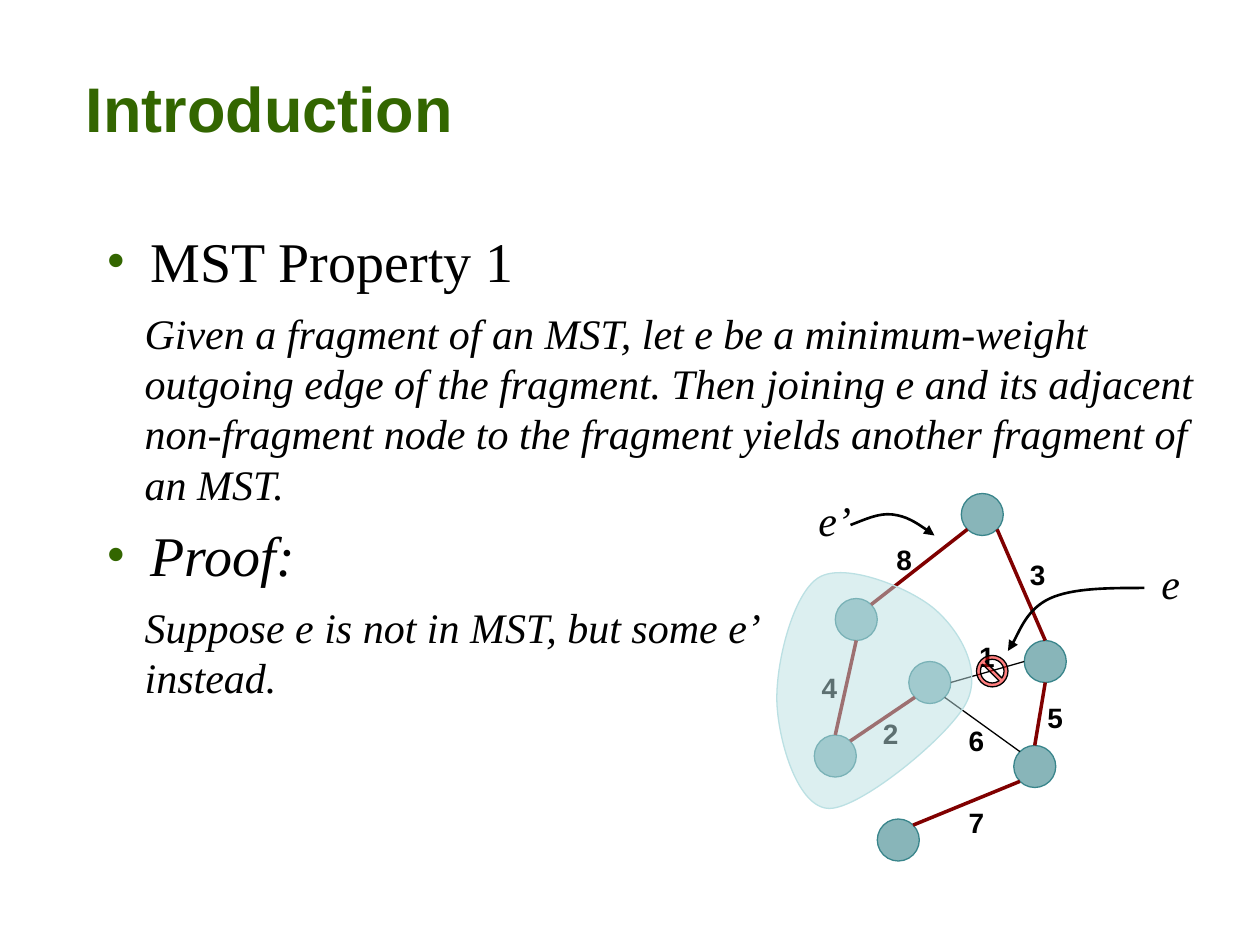
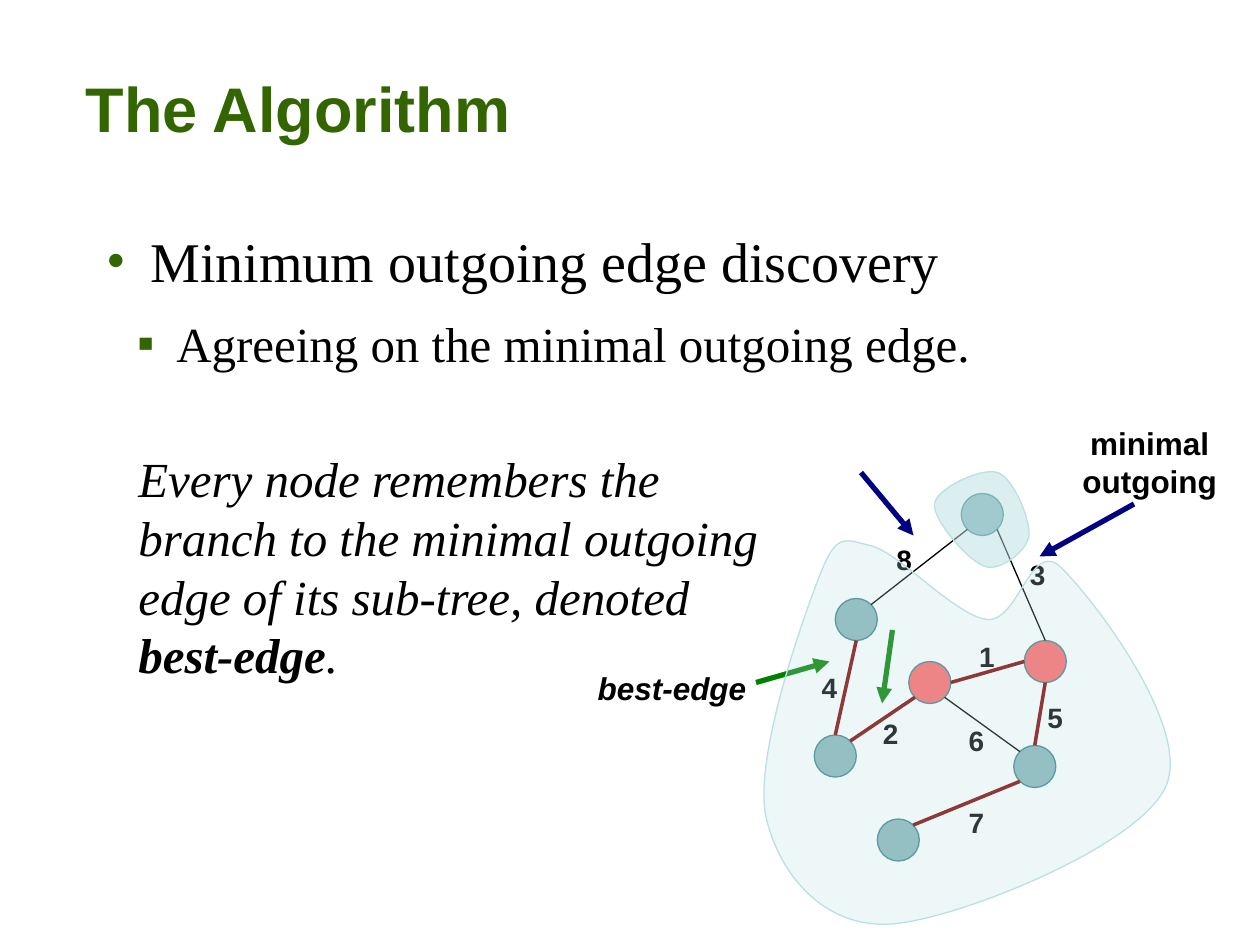
from dataclasses import dataclass
from math import cos, pi, sin

from lxml.etree import SubElement as Sub
from pptx import Presentation
from pptx.dml.color import RGBColor as Rgb
from pptx.enum.shapes import MSO_CONNECTOR as Conn, MSO_SHAPE as Kind
from pptx.enum.text import MSO_ANCHOR as Anchor, PP_ALIGN as Align
from pptx.oxml.ns import qn
from pptx.util import Pt


@dataclass(frozen=True)
class Theme:
    green: str = "336600"
    black: str = "000000"
    teal: str = "39858B"
    pale: str = "BBE0E3"
    red: str = "FF0000"
    maroon: str = "800000"
    navy: str = "000080"
    leaf: str = "008000"
    sans: str = "Arial"
    serif: str = "Times New Roman"
    title: int = 36
    head: int = 32
    point: int = 28
    body: int = 24
    note: int = 18
    weight: int = 16
    thin: float = 0.75
    curve: float = 1.5
    branch: float = 2
    arrow: float = 3


T = Theme()
GRAPH = (432, 252)
RADIUS = 12
NODES = {
    "mid": (99.3, 138), "top": (129.3, 42), "east": (159.3, 186),
    "right": (165.3, 126), "low": (81.3, 228), "left": (57.3, 102),
    "west": (45.3, 180),
}
SITES = {
    "N": -2, "NE": -1, "E": 0, "SE": 1, "S": 2, "SW": 3, "W": 4, "NW": 5,
}
EDGES = {
    8: ("left", "NE", "top", "SW", (84.6, 67.6)),
    6: ("mid", "SE", "east", "NW", (126, 171)),
    1: ("mid", "E", "right", "W", (132, 123)),
    3: ("right", "N", "top", "SE", (161, 76)),
    2: ("mid", "SW", "west", "NE", (77, 167)),
    5: ("east", "N", "right", "S", (171, 157.9)),
    7: ("east", "SW", "low", "NE", (126, 218)),
    4: ("west", "N", "left", "S", (42, 141)),
}
FRAGMENT = [
    (36, 78), (51, 69), (88, 84), (102, 96), (116, 108), (130, 131), (120, 150),
    (110, 169), (60, 210), (42, 210), (24, 210), (13, 172), (12, 150),
    (11, 128), (21, 87), (36, 78),
]
SINGLE = [
    (102, 36), (103, 27), (129, 15), (138, 18), (147, 21), (157, 45), (156, 54),
    (155, 63), (140, 74), (132, 72), (122, 70), (101, 45), (102, 36),
]
LARGE = [
    (36, 78), (46, 52), (50, 56), (66, 60), (82, 64), (114, 100), (132, 102),
    (150, 104), (157, 56), (174, 72), (191, 88), (250, 164), (234, 198),
    (218, 232), (116, 273), (78, 276), (40, 279), (14, 249), (6, 216),
    (-2, 183), (26, 104), (36, 78),
]
OLD_EDGE = [(54, 48), (62, 45), (70, 41), (78, 42), (86, 43), (94, 48), (102, 54)]
NEW_EDGE = [(222, 84), (202, 84), (181, 84), (168, 90), (155, 96), (148, 115), (144, 120)]


def shift(box, spot):
    return box[0] + spot[0], box[1] + spot[1]


def text(slide, box, words, font=T.serif, size=T.body, color=T.black, bold=False,
         slant=False, bullet=None, indent=0, label=False):
    frame = slide.shapes.add_textbox(*map(Pt, box)).text_frame
    frame.word_wrap = True
    frame.vertical_anchor = Anchor.MIDDLE if label else Anchor.TOP
    lines = words.split("\n") if isinstance(words, str) else [words]
    for n, line in enumerate(lines):
        para = frame.add_paragraph() if n else frame.paragraphs[0]
        para.alignment = Align.CENTER if label else Align.LEFT
        if bullet:
            mark(para, bullet, indent)
        for part, heavy in [(line, bold)] if isinstance(line, str) else line:
            run = para.add_run()
            run.text = part
            run.font.name, run.font.size = font, Pt(size)
            run.font.bold, run.font.italic = heavy, slant
            run.font.color.rgb = Rgb.from_string(color)


def mark(para, bullet, indent):
    props = para._p.get_or_add_pPr()
    props.set("marL", str(Pt(indent)))
    props.set("indent", str(-Pt(indent)))
    Sub(Sub(props, qn("a:buClr")), qn("a:srgbClr"), val=T.green)
    Sub(props, qn("a:buFont"), typeface=T.serif)
    Sub(props, qn("a:buChar"), char=bullet)


def label(slide, box, spot, words, wide=40, high=36, **style):
    x, y = shift(box, spot)
    text(slide, (x - wide / 2, y - high / 2, wide, high), words, label=True, **style)


def stroke(shape, color, width, arrow=False):
    shape.line.color.rgb = Rgb.from_string(color)
    shape.line.width = Pt(width)
    if arrow:
        Sub(shape._element.spPr.find(qn("a:ln")), qn("a:tailEnd"), type="triangle")


def tint(shape, color, alpha):
    shape.shadow.inherit = False
    shape.fill.solid()
    shape.fill.fore_color.rgb = Rgb.from_string(color)
    tone = shape._element.spPr.find(qn("a:solidFill"))[0]
    Sub(tone, qn("a:alpha"), val=str(alpha * 1000))


def line(slide, box, start, end, color, width, arrow=False):
    ends = shift(box, start) + shift(box, end)
    link = slide.shapes.add_connector(Conn.STRAIGHT, *map(Pt, ends))
    stroke(link, color, width, arrow)
    Sub(link._element.spPr, qn("a:effectLst"))


def curve(slide, box, points, closed=False):
    spots = [tuple(map(Pt, shift(box, p))) for p in points]
    pen = slide.shapes.build_freeform(*spots[0])
    pen.add_line_segments(spots[1:], close=closed)
    shape = pen.convert_to_shape()
    steps = list(shape._element.iter(qn("a:lnTo")))
    for n in range(0, len(spots) - 1, 3):
        first, *rest = steps[n:n + 3]
        first.tag = qn("a:cubicBezTo")
        for step in rest:
            first.append(step[0])
            step.getparent().remove(step)
    shape.shadow.inherit = False
    return shape


def blob(slide, box, points, alpha):
    shape = curve(slide, box, points, closed=True)
    tint(shape, T.pale, alpha)
    stroke(shape, T.pale, T.thin)


def pointer(slide, box, points, spot, name):
    label(slide, box, spot, name, slant=True)
    shape = curve(slide, box, points)
    shape.fill.background()
    stroke(shape, T.black, T.curve, arrow=True)


def disc(slide, box, spot, size, kind, color, alpha, edge):
    x, y = shift(box, spot)
    shape = slide.shapes.add_shape(kind, *map(Pt, (x - size / 2, y - size / 2, size, size)))
    tint(shape, color, alpha)
    stroke(shape, edge, T.thin)
    return shape


def rim(node, site):
    x, y = NODES[node]
    turn = SITES[site] * pi / 4
    return x + RADIUS * cos(turn), y + RADIUS * sin(turn)


def graph(slide, box, thin, hot=()):
    for name, spot in NODES.items():
        color = T.red if name in hot else T.teal
        disc(slide, box, spot, 2 * RADIUS, Kind.OVAL, color, 60, T.teal)
    for weight, (a, out, b, into, _) in EDGES.items():
        look = (T.black, T.thin) if weight in thin else (T.maroon, T.branch)
        line(slide, box, rim(a, out), rim(b, into), *look)
    for weight, (*_, spot) in EDGES.items():
        label(slide, box, spot, str(weight), font=T.sans, size=T.weight, bold=True)


def title(slide, words):
    text(slide, (42, 36, 642, 50), words, font=T.sans, size=T.title,
         color=T.green, bold=True)


def head(slide, top, words, slant=False):
    text(slide, (54, top, 540, 46), words, size=T.head, slant=slant,
         bullet="•", indent=25)


def intro(slide):
    title(slide, "Introduction")
    head(slide, 126, "MST Property 1")
    text(slide, (75.6, 172, 618, 122),
         "Given a fragment of an MST, let e be a minimum-weight outgoing edge of the "
         "fragment. Then joining e and its adjacent non-fragment node to the fragment "
         "yields another fragment of an MST.", slant=True)
    graph(slide, GRAPH, thin=(6, 1))
    blob(slide, GRAPH, FRAGMENT, 50)
    head(slide, 294, "Proof:", slant=True)
    text(slide, (75.6, 340, 380, 65),
         "Suppose e is not in MST, but some e’ instead.", slant=True)
    ban = disc(slide, GRAPH, (135, 131.5), 18, Kind.NO_SYMBOL, T.red, 50, T.black)
    ban.adjustments[0] = 0.125
    pointer(slide, GRAPH, OLD_EDGE, (45, 45), "e’")
    pointer(slide, GRAPH, NEW_EDGE, (237, 81), "e")


def method(slide):
    title(slide, "The Algorithm")
    head(slide, 126, "Minimum outgoing edge discovery")
    graph(slide, GRAPH, thin=(8, 3, 6), hot=("mid", "right"))
    blob(slide, GRAPH, SINGLE, 50)
    text(slide, (71.3, 175.7, 595, 41), "Agreeing on the minimal outgoing edge.",
         size=T.point, bullet="▪", indent=22.4)
    text(slide, (72, 252.7, 384, 142), [
        ("Every node remembers the branch to the minimal outgoing edge of its "
         "sub-tree, denoted ", False), ("best-edge", True), (".", False)],
        size=T.point, slant=True)
    note = dict(font=T.sans, size=T.note, bold=True, wide=110, high=50)
    for start, end, color in (
        ((216, 36), (162, 66), T.navy), ((60, 18), (90, 54), T.navy),
        ((0, 138), (42, 126), T.leaf), ((78, 108), (72, 150), T.leaf),
    ):
        line(slide, GRAPH, start, end, color, T.arrow, arrow=True)
    label(slide, GRAPH, (225, 12), "minimal\noutgoing", **note)
    label(slide, GRAPH, (-48, 141), "best-edge", slant=True, **note)
    blob(slide, GRAPH, LARGE, 25)


def main():
    deck = Presentation()
    deck.slide_width, deck.slide_height = Pt(720), Pt(540)
    for build in (intro, method):
        build(deck.slides.add_slide(deck.slide_layouts[6]))
    deck.save("out.pptx")


if __name__ == "__main__":
    main()
